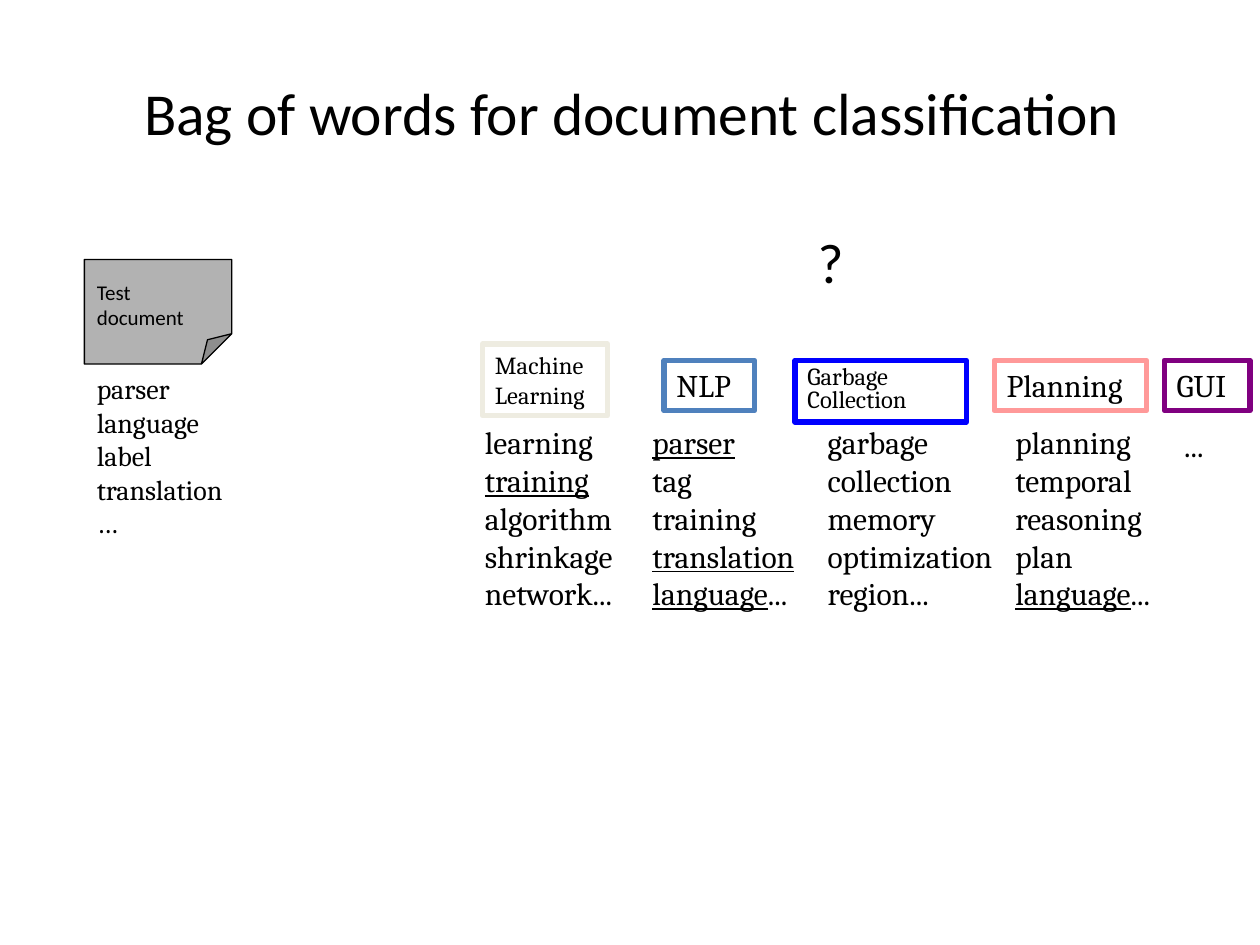
from lxml import etree
from pptx import Presentation
from pptx import util as u
from pptx.dml.color import RGBColor
from pptx.enum import shapes, text
from pptx.oxml.ns import qn

PX = u.Inches(1) // 100  # 100 px to the inch
COLORS = {
    "ink": "000000",
    "paper": "B2B2B2",
    "learning": "EEECE1",
    "nlp": "4F81BD",
    "garbage": "0000FF",
    "planning": "FF9999",
    "gui": "800080",
}
SERIF, SANS = "Cambria", "Calibri"
LIST_TOP = 331

# label, colour, label box, label size, line spacing, list box, words (_ marks underline)
CLASSES = [
    (["Machine Learning"], "learning", (383, 273, 99, 57), 14, None,
     (375, LIST_TOP, 133, 162),
     ["learning", "_training", "algorithm", "shrinkage", "network..."]),
    (["NLP"], "nlp", (527, 286, 72, 40), 18, None,
     (508, LIST_TOP, 142, 162),
     ["_parser", "tag", "training", "_translation", "_language|..."]),
    (["Garbage", "Collection"], "garbage", (631, 286, 136, 49), 14, 0.8,
     (647, LIST_TOP, 164, 162),
     ["garbage", "collection", "memory", "optimization", "region..."]),
    (["Planning"], "planning", (789, 286, 121, 40), 18, None,
     (796, LIST_TOP, 142, 178),
     ["planning", "temporal", "reasoning", "plan", "_language|..."]),
    (["GUI"], "gui", (924, 286, 68, 40), 18, None,
     (930, LIST_TOP + 2, 39, 40), ["..."]),
]


def rgb(name):
    return RGBColor.from_string(COLORS[name])


def emu(box):
    return [v * PX for v in box]


def write(sp, lines, size, font=SERIF, spacing=None,
          align=text.PP_ALIGN.LEFT, anchor=text.MSO_ANCHOR.TOP):
    """Fill a shape with paragraphs; | splits runs and _ underlines one."""
    tf = sp.text_frame
    tf.word_wrap = True
    tf.auto_size = text.MSO_AUTO_SIZE.NONE
    tf.vertical_anchor = anchor
    for i, line in enumerate(lines):
        p = tf.paragraphs[0] if i == 0 else tf.add_paragraph()
        p.alignment = align
        if spacing:
            p.line_spacing = spacing
        for part in line.split("|"):
            r = p.add_run()
            r.text = part.lstrip("_")
            r.font.size = u.Pt(size)
            r.font.name = font
            r.font.color.rgb = rgb("ink")
            if part.startswith("_"):
                r.font.underline = True


def add_text(parent, box, lines, size, font=SERIF):
    write(parent.add_textbox(*emu(box)), lines, size, font)


def add_outlined(parent, kind, box, color, width):
    sp = parent.add_shape(kind, *emu(box))
    sp.shadow.inherit = False
    sp.fill.background()
    sp.line.color.rgb = rgb(color)
    sp.line.width = u.Pt(width)
    return sp


def set_fold(sp, share):
    """Set the size of the folded corner as a share of the short side."""
    geom = sp.element.spPr.find(qn("a:prstGeom"))
    for old in geom.findall(qn("a:avLst")):
        geom.remove(old)
    guides = etree.SubElement(geom, qn("a:avLst"))
    etree.SubElement(guides, qn("a:gd"), name="adj",
                     fmla=f"val {round(share * 100000)}")


def add_title(s, box):
    sp = s.shapes.title
    sp.left, sp.top, sp.width, sp.height = emu(box)
    write(sp, ["Bag of words for document classification"], 34, SANS,
          align=text.PP_ALIGN.CENTER, anchor=text.MSO_ANCHOR.MIDDLE)


def add_test_document(s, box):
    x, y, w, h = box
    group = s.shapes.add_group_shape().shapes
    # Folded sheet
    sheet = add_outlined(group, shapes.MSO_SHAPE.FOLDED_CORNER,
                         (x, y, 117, 83), "ink", 0.75)
    set_fold(sheet, 0.29)
    sheet.fill.solid()
    sheet.fill.fore_color.rgb = rgb("paper")
    write(sheet, ["Test", "document"], 12, SANS, anchor=text.MSO_ANCHOR.MIDDLE)
    sheet.text_frame.margin_top = 18 * PX
    # Its words
    add_text(group, (x, y + 84, w, h - 84),
             ["parser", "language", "label", "translation", "…"], 16)


def add_class(s, label, color, label_box, size, spacing, list_box, words):
    sp = add_outlined(s.shapes, shapes.MSO_SHAPE.RECTANGLE, label_box, color, 3)
    write(sp, label, size, spacing=spacing)
    add_text(s.shapes, list_box, words, 18)


def main():
    prs = Presentation()
    prs.slide_width, prs.slide_height = 1000 * PX, 750 * PX
    s = prs.slides.add_slide(prs.slide_layouts[5])
    add_title(s, (93, 48, 817, 81))
    add_test_document(s, (67, 206, 127, 229))
    # Candidate classes under the question mark
    add_text(s.shapes, (639, 176, 41, 64), ["?"], 32, SANS)
    for entry in CLASSES:
        add_class(s, *entry)
    prs.save("out.pptx")


if __name__ == "__main__":
    main()
